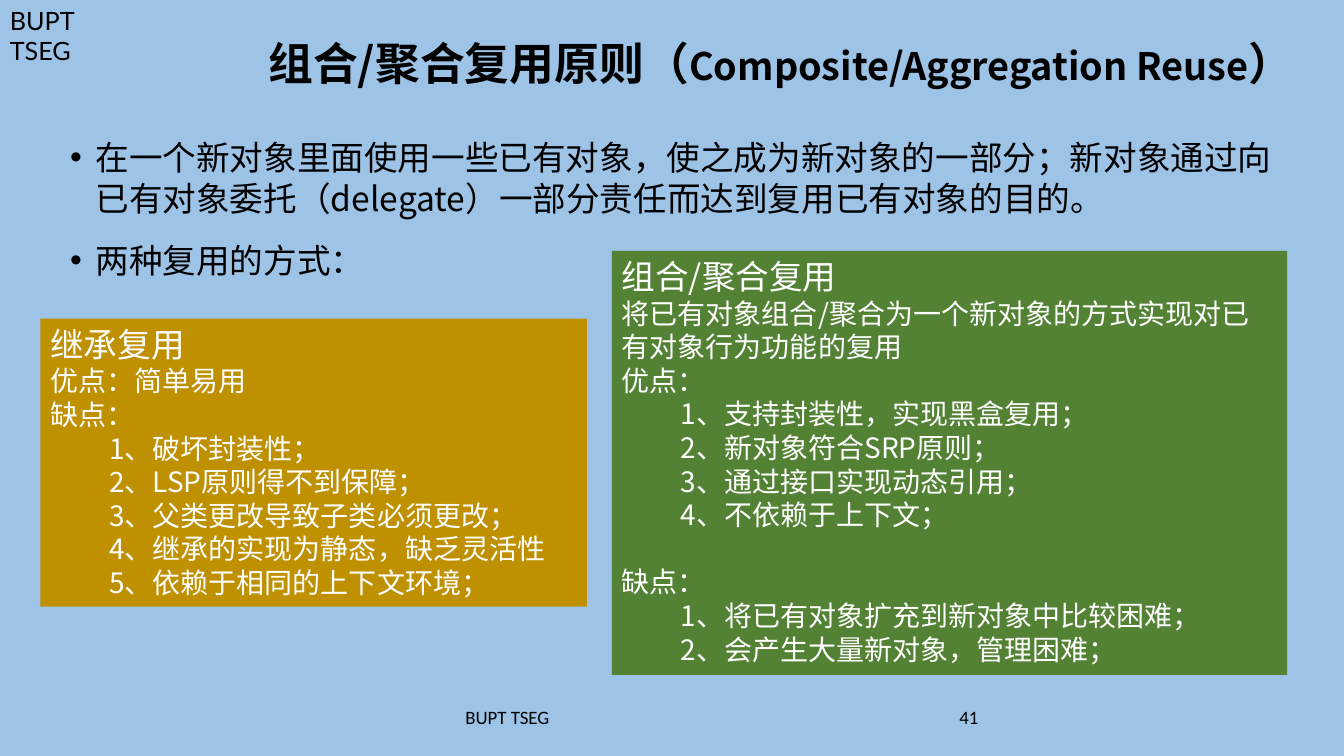
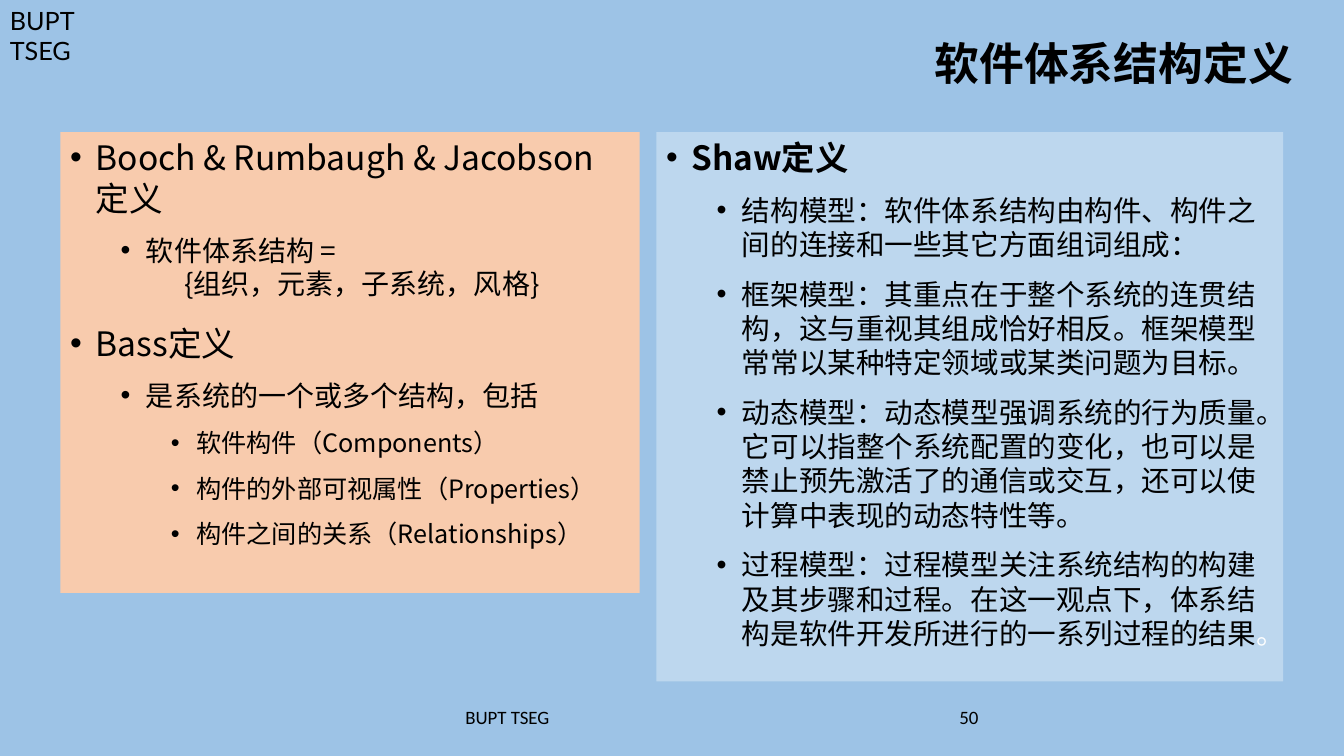
from pptx import Presentation
from pptx.dml.color import RGBColor
from pptx.enum.shapes import MSO_SHAPE
from pptx.enum.text import MSO_ANCHOR, PP_ALIGN
from pptx.oxml.ns import qn
from pptx.util import Cm, Pt
from lxml.etree import SubElement

# Shared look
SKY, BLACK, WHITE = "9DC3E6", "000000", "FFFFFF"
GOLD, GREEN, PEACH, PALE = "BF9000", "548235", "F8CBAD", "BDD7EE"
HAN = "Noto Sans CJK SC"
MARK = "BUPT TSEG"

# Line kinds: size, left margin, hang (cm), space before, space after
KINDS = {
    "head": (24, 0, 0, 0, 0),
    "text": (20, 0, 0, 0, 0),
    "next": (20, 0, 0, 24, 0),
    "item": (20, 1.48, 0, 0, 0),
    "top": (24, 0.64, 0.64, 10, 6),
    "sub": (20, 1.91, 0.64, 5, 6),
    "open": (20, 1.91, 0.64, 5, 0),
    "cont": (20, 2.87, 0, 0, 6),
    "low": (18, 3.18, 0.64, 5, 6),
    "shaw": (23.8, 0.64, 0.64, 10, 6),
    "model": (20.4, 1.91, 0.64, 5, 6),
}

# Each slide: number, title runs, panels (place, fill, ink, lines)
SLIDES = [
    (41, [("组合/聚合复用原则（", 32), ("Composite/Aggregation Reuse", 27), ("）", 32)], [
        ((1.52, 3.33, 30.81, 13.84), None, BLACK, [
            ("top", "在一个新对象里面使用一些已有对象，使之成为新对象的一部分；"
                    "新对象通过向已有对象委托（delegate）一部分责任而达到复用已有对象的目的。"),
            ("top", "两种复用的方式："),
        ]),
        ((1.02, 8.03, 13.77, 7.26), GOLD, WHITE, [
            ("head", "继承复用"),
            ("text", "优点：简单易用"),
            ("text", "缺点："),
            ("item", "1、破坏封装性；"),
            ("item", "2、LSP原则得不到保障；"),
            ("item", "3、父类更改导致子类必须更改；"),
            ("item", "4、继承的实现为静态，缺乏灵活性"),
            ("item", "5、依赖于相同的上下文环境；"),
        ]),
        ((15.42, 6.32, 17.02, 10.69), GREEN, WHITE, [
            ("head", "组合/聚合复用"),
            ("text", "将已有对象组合/聚合为一个新对象的方式实现对已有对象行为功能的复用"),
            ("text", "优点："),
            ("item", "1、支持封装性，实现黑盒复用；"),
            ("item", "2、新对象符合SRP原则；"),
            ("item", "3、通过接口实现动态引用；"),
            ("item", "4、不依赖于上下文；"),
            ("next", "缺点："),
            ("item", "1、将已有对象扩充到新对象中比较困难；"),
            ("item", "2、会产生大量新对象，管理困难；"),
        ]),
    ]),
    (50, [("软件体系结构定义", 32)], [
        ((1.52, 3.33, 14.6, 11.61), PEACH, BLACK, [
            ("top", "Booch & Rumbaugh & Jacobson 定义"),
            ("open", "软件体系结构 ="),
            ("cont", "{组织，元素，子系统，风格}"),
            ("top", "Bass定义"),
            ("sub", "是系统的一个或多个结构，包括"),
            ("low", "软件构件（Components）"),
            ("low", "构件的外部可视属性（Properties）"),
            ("low", "构件之间的关系（Relationships）"),
        ]),
        ((16.54, 3.33, 15.8, 13.84), PALE, BLACK, [
            ("shaw", "Shaw定义"),
            ("model", "结构模型：软件体系结构由构件、构件之间的连接和一些其它方面组词组成："),
            ("model", "框架模型：其重点在于整个系统的连贯结构，这与重视其组成恰好相反。"
                      "框架模型常常以某种特定领域或某类问题为目标。"),
            ("model", "动态模型：动态模型强调系统的行为质量。它可以指整个系统配置的变化，"
                      "也可以是禁止预先激活了的通信或交互，还可以使计算中表现的动态特性等。"),
            ("model", "过程模型：过程模型关注系统结构的构建及其步骤和过程。"
                      "在这一观点下，体系结构是软件开发所进行的一系列过程的结果"),
        ]),
    ]),
]


def add_box(slide, place, fill=None):
    spot = [Cm(n) for n in place]
    if fill:
        box = slide.shapes.add_shape(MSO_SHAPE.RECTANGLE, *spot)
        box.shadow.inherit = False
        box.fill.solid()
        box.fill.fore_color.rgb = RGBColor.from_string(fill)
        box.line.fill.background()
    else:
        box = slide.shapes.add_textbox(*spot)
    frame = box.text_frame
    frame.word_wrap = True
    frame.vertical_anchor = MSO_ANCHOR.TOP
    return frame


def add_run(par, text, size, ink=BLACK, name=HAN, bold=False):
    run = par.add_run()
    run.text = text
    font = run.font
    font.size, font.bold, font.name = Pt(size), bold, name
    font.color.rgb = RGBColor.from_string(ink)
    SubElement(run._r.rPr, qn("a:ea"), typeface=name)


deck = Presentation()
deck.slide_width, deck.slide_height = Cm(33.87), Cm(19.05)
back = deck.slide_master.background.fill
back.solid()
back.fore_color.rgb = RGBColor.from_string(SKY)

for num, title, panels in SLIDES:
    slide = deck.slides.add_slide(deck.slide_layouts[6])

    # Corner mark and footer
    for place, text, size, name in [
        ((0, 0, 2.82, 1.8), MARK, 18, "Lato"),
        ((11.48, 17.65, 11.43, 1.02), MARK, 13.5, "Calibri"),
        ((23.93, 17.65, 7.62, 1.02), str(num), 13.5, "Calibri"),
    ]:
        add_run(add_box(slide, place).paragraphs[0], text, size, name=name)

    # Title
    frame = add_box(slide, (4.14, 0.76, 28.7, 1.8))
    frame.vertical_anchor = MSO_ANCHOR.MIDDLE
    par = frame.paragraphs[0]
    par.alignment, par.line_spacing = PP_ALIGN.RIGHT, 0.9
    for text, size in title:
        add_run(par, text, size, bold=True)

    # Panels
    for place, fill, ink, lines in panels:
        frame = add_box(slide, place, fill)
        for row, (kind, text) in enumerate(lines):
            par = frame.paragraphs[0] if row == 0 else frame.add_paragraph()
            size, left, hang, before, after = KINDS[kind]
            par.alignment = PP_ALIGN.LEFT
            props = par._p.get_or_add_pPr()
            props.set("marL", str(Cm(left)))
            props.set("indent", str(-Cm(hang)))
            if hang:
                SubElement(props, qn("a:buFont"), typeface="Arial")
                SubElement(props, qn("a:buChar"), char="•")
            par.space_before = Pt(before if row else 0)
            par.space_after = Pt(after)
            add_run(par, text, size, ink, bold=kind == "shaw")

# White full stop that ends the last panel
add_run(par, "。", size, WHITE)

deck.save("out.pptx")
